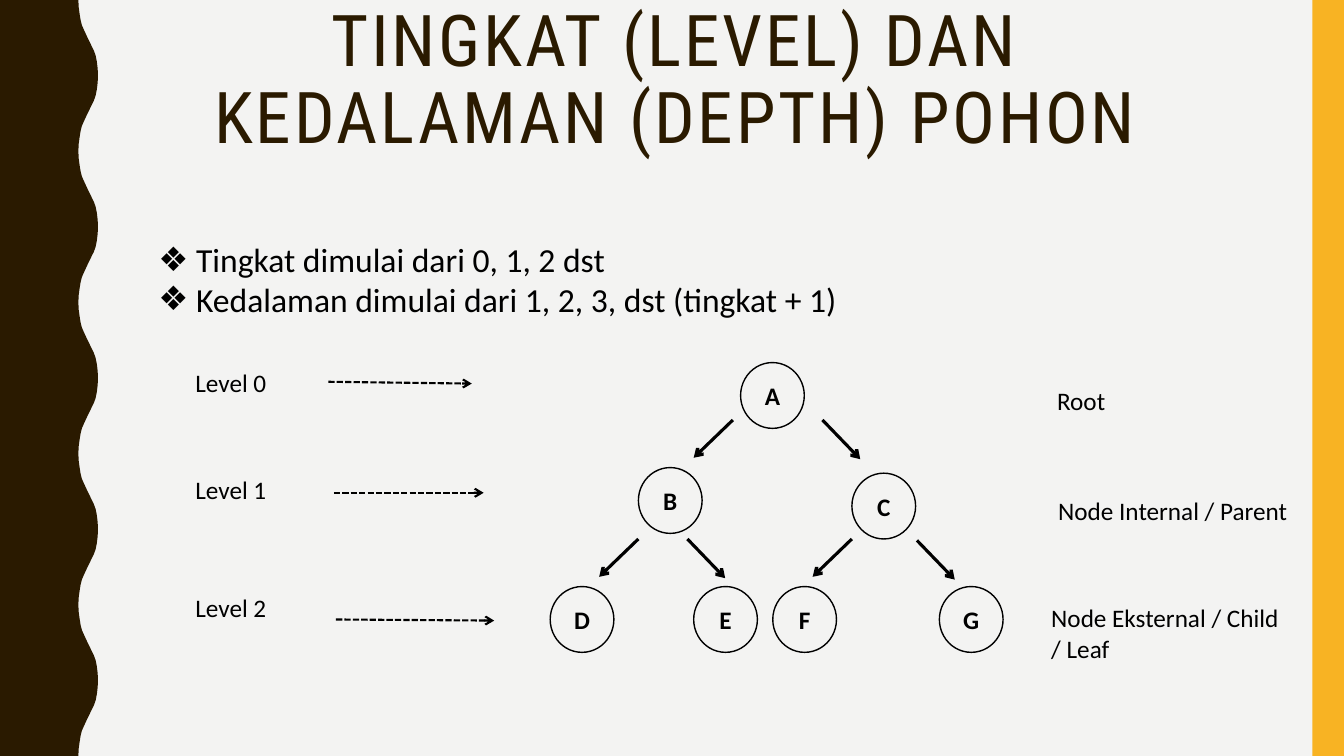
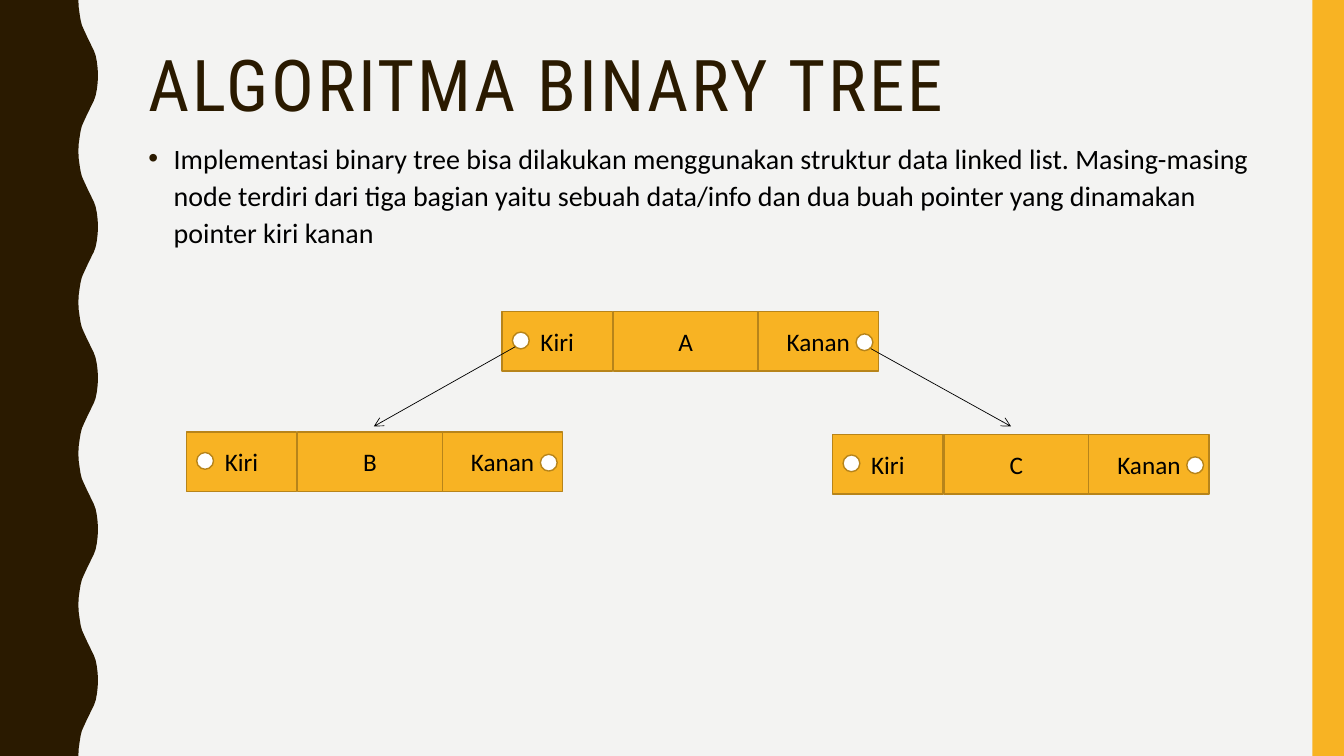
from pptx import Presentation
from pptx.dml.color import RGBColor
from pptx.enum import dml, shapes, text
from pptx.oxml.ns import qn
from pptx.util import Pt
from lxml import etree

WIDTH, HEIGHT = 960, 540
BROWN, GOLD, GOLD_EDGE = "2A1A00", "F8B323", "B7841A"
PAPER, BLACK, WHITE = "F3F3F2", "000000", "FFFFFF"
BODY_FONT, TITLE_FONT = "Calibri", "Roboto Condensed"
RECTANGLE, OVAL = shapes.MSO_SHAPE.RECTANGLE, shapes.MSO_SHAPE.OVAL
LEFT, CENTER, JUSTIFY = text.PP_ALIGN.LEFT, text.PP_ALIGN.CENTER, text.PP_ALIGN.JUSTIFY
TOP, MIDDLE = text.MSO_ANCHOR.TOP, text.MSO_ANCHOR.MIDDLE

# Half a wave of the left band, from trough to crest
HALF_WAVE = [(56, 0), (56.2, 5), (56.9, 10), (57.6, 14.4), (58.5, 18), (59.8, 21),
             (61.2, 24), (62.6, 27), (64.1, 30), (65.5, 33), (67, 36), (68.3, 39.6),
             (69.2, 44), (69.8, 49), (70, 54)]
WAVE_COUNT = 5


def color(hex_string):
    return RGBColor.from_string(hex_string)


# Text
def add_bullet(paragraph, character, hex_string, indent):
    properties = paragraph._p.get_or_add_pPr()
    properties.set("marL", str(Pt(indent)))
    properties.set("indent", str(-Pt(indent)))
    bullet_color = etree.SubElement(properties, qn("a:buClr"))
    etree.SubElement(bullet_color, qn("a:srgbClr"), val=hex_string)
    etree.SubElement(properties, qn("a:buFont"), typeface="Arial")
    etree.SubElement(properties, qn("a:buChar"), char=character)


def write(paragraph, words, size=18, font=BODY_FONT, ink=BLACK, bold=False, align=LEFT,
          line_spacing=None, space_before=None, spacing=None,
          bullet=None, bullet_color=BLACK, indent=0):
    if bullet:
        add_bullet(paragraph, bullet, bullet_color, indent)
    paragraph.alignment = align
    if line_spacing:
        paragraph.line_spacing = line_spacing
    if space_before:
        paragraph.space_before = Pt(space_before)
    run = paragraph.add_run()
    run.text = words
    run.font.size, run.font.name, run.font.bold = Pt(size), font, bold
    run.font.color.rgb = color(ink)
    if spacing:
        run.font._element.set("spc", str(round(spacing * 100)))


def add_text_box(slide, box, lines, wrap=True, anchor=TOP, **style):
    frame = slide.shapes.add_textbox(*map(Pt, box)).text_frame
    frame.word_wrap, frame.vertical_anchor = wrap, anchor
    for index, line in enumerate(lines):
        paragraph = frame.add_paragraph() if index else frame.paragraphs[0]
        write(paragraph, line, **style)
    return frame


# Shapes and arrows
def paint(shape, fill=None, edge=None):
    shape.shadow.inherit = False
    if fill:
        shape.fill.solid()
        shape.fill.fore_color.rgb = color(fill)
    else:
        shape.fill.background()
    if edge:
        shape.line.color.rgb = color(edge)
        shape.line.width = Pt(1)
    else:
        shape.line.fill.background()


def add_shape(slide, kind, box, fill=None, edge=None, label=None, **style):
    shape = slide.shapes.add_shape(kind, *map(Pt, box))
    paint(shape, fill, edge)
    if label:
        shape.text_frame.vertical_anchor = MIDDLE
        write(shape.text_frame.paragraphs[0], label, align=CENTER, **style)
    return shape


def add_arrow(slide, start, end, width, dash=None):
    arrow = slide.shapes.add_connector(shapes.MSO_CONNECTOR.STRAIGHT, *map(Pt, (*start, *end)))
    arrow.line.color.rgb = color(BLACK)
    arrow.line.width = Pt(width)
    if dash:
        arrow.line.dash_style = dash
    etree.SubElement(arrow.line._get_or_add_ln(), qn("a:tailEnd"), type="arrow")
    etree.SubElement(arrow._element.spPr, qn("a:effectLst"))


# Shared slide frame
def add_wavy_band(slide):
    period = 2 * HALF_WAVE[-1][1]
    wave = HALF_WAVE + [(x, period - y) for x, y in HALF_WAVE[-2:0:-1]]
    edge = [(x, y + period * number) for number in range(WAVE_COUNT) for x, y in wave]
    outline = edge + [(HALF_WAVE[0][0], HEIGHT), (0, HEIGHT)]
    builder = slide.shapes.build_freeform(0, 0)
    builder.add_line_segments([(Pt(x), Pt(y)) for x, y in outline], close=True)
    paint(builder.convert_to_shape(), BROWN)


def add_slide(presentation, title, title_box, align=LEFT):
    slide = presentation.slides.add_slide(presentation.slide_layouts[6])
    slide.background.fill.solid()
    slide.background.fill.fore_color.rgb = color(PAPER)
    add_wavy_band(slide)
    add_shape(slide, RECTANGLE, (937.5, 0, 22.5, HEIGHT), GOLD)
    add_text_box(slide, title_box, [title], anchor=MIDDLE, size=51, font=TITLE_FONT,
                 ink=BROWN, align=align, line_spacing=0.9, spacing=2)
    return slide


# Slide 1: levels and depth
def add_tree(slide, left, top):
    nodes = {"A": (136, 0), "B": (63, 75), "C": (215.5, 79), "D": (0, 160),
             "E": (102.5, 160), "F": (159, 160), "G": (278, 160)}
    for name, (x, y) in nodes.items():
        add_shape(slide, OVAL, (left + x, top + y, 45.5, 47), edge=BLACK, label=name, bold=True)
    branches = {(-28, 27): [(130.5, 41), (63, 126), (215.5, 126)],
                (27, 28): [(194.5, 41), (98, 126), (262, 127)]}
    for (across, down), starts in branches.items():
        for x, y in starts:
            start = (left + x, top + y)
            add_arrow(slide, start, (start[0] + across, start[1] + down), 2.25)


def add_levels(slide, left, top):
    rows = [(0, (102, 13.7), (204.5, 15)), (76.5, (106, 93), (213, 93)),
            (160.5, (107.5, 183.5), (220.5, 184.3))]
    for level, (y, start, end) in enumerate(rows):
        add_text_box(slide, (left, top + y, 66, 29), [f"Level {level}"], wrap=False)
        add_arrow(slide, (left + start[0], top + start[1]), (left + end[0], top + end[1]),
                  1.5, dml.MSO_LINE.SQUARE_DOT)


def add_roles(slide, left, top):
    roles = [(4.2, 0, 52, ["Root"]), (5, 78.5, 181, ["Node Internal / Parent"]),
             (0, 155.5, 184, ["Node Eksternal / Child", "/ Leaf"])]
    for x, y, width, lines in roles:
        add_text_box(slide, (left + x, top + y, width, 7.5 + 22 * len(lines)), lines, wrap=False)


def build_levels_slide(presentation):
    slide = add_slide(presentation, "TINGKAT (LEVEL) DAN KEDALAMAN (DEPTH) POHON",
                      (82, 0, 801, 117), CENTER)
    bullet_style = dict(size=24, align=JUSTIFY, bullet="❖", indent=27)
    frame = add_text_box(slide, (106, 168, 511, 63), ["Tingkat dimulai dari 0, 1, 2 dst"],
                         line_spacing=0.99, **bullet_style)
    write(frame.add_paragraph(), "Kedalaman dimulai dari 1, 2, 3, dst (tingkat + 1)",
          line_spacing=0.75, space_before=6, **bullet_style)
    add_tree(slide, 393, 259)
    add_levels(slide, 132.5, 259)
    add_roles(slide, 743.8, 271.5)


# Slide 2: linked nodes
def add_linked_node(slide, left, top, name):
    for x, width, label in [(79.5, 103.5, name), (0, 79, "Kiri"), (183, 86, "Kanan")]:
        add_shape(slide, RECTANGLE, (left + x, top, width, 42.5), GOLD, GOLD_EDGE, label)
    for x, y in [(7.5, 14.7), (253, 16)]:
        add_shape(slide, OVAL, (left + x, top + y, 12, 12), WHITE, GOLD_EDGE)


def build_algorithm_slide(presentation):
    slide = add_slide(presentation, "ALGORITMA BINARY TREE", (99, 30, 801, 67))
    add_text_box(slide, (99, 95, 801, 88),
                 ["Implementasi binary tree bisa dilakukan menggunakan struktur data linked list. "
                  "Masing-masing node terdiri dari tiga bagian yaitu sebuah data/info dan dua buah "
                  "pointer yang dinamakan pointer kiri kanan"],
                 size=20, line_spacing=1.1, bullet="•", bullet_color=BROWN, indent=18)
    for left, top, name in [(358.5, 222.5, "A"), (133, 308.5, "B"), (594.7, 310.3, "C")]:
        add_linked_node(slide, left, top, name)
    add_arrow(slide, (368, 247.7), (267, 304.6), 0.5)
    add_arrow(slide, (622, 249), (722.2, 304.6), 0.5)


def main():
    presentation = Presentation()
    presentation.slide_width, presentation.slide_height = Pt(WIDTH), Pt(HEIGHT)
    build_levels_slide(presentation)
    build_algorithm_slide(presentation)
    presentation.save("out.pptx")


if __name__ == "__main__":
    main()
